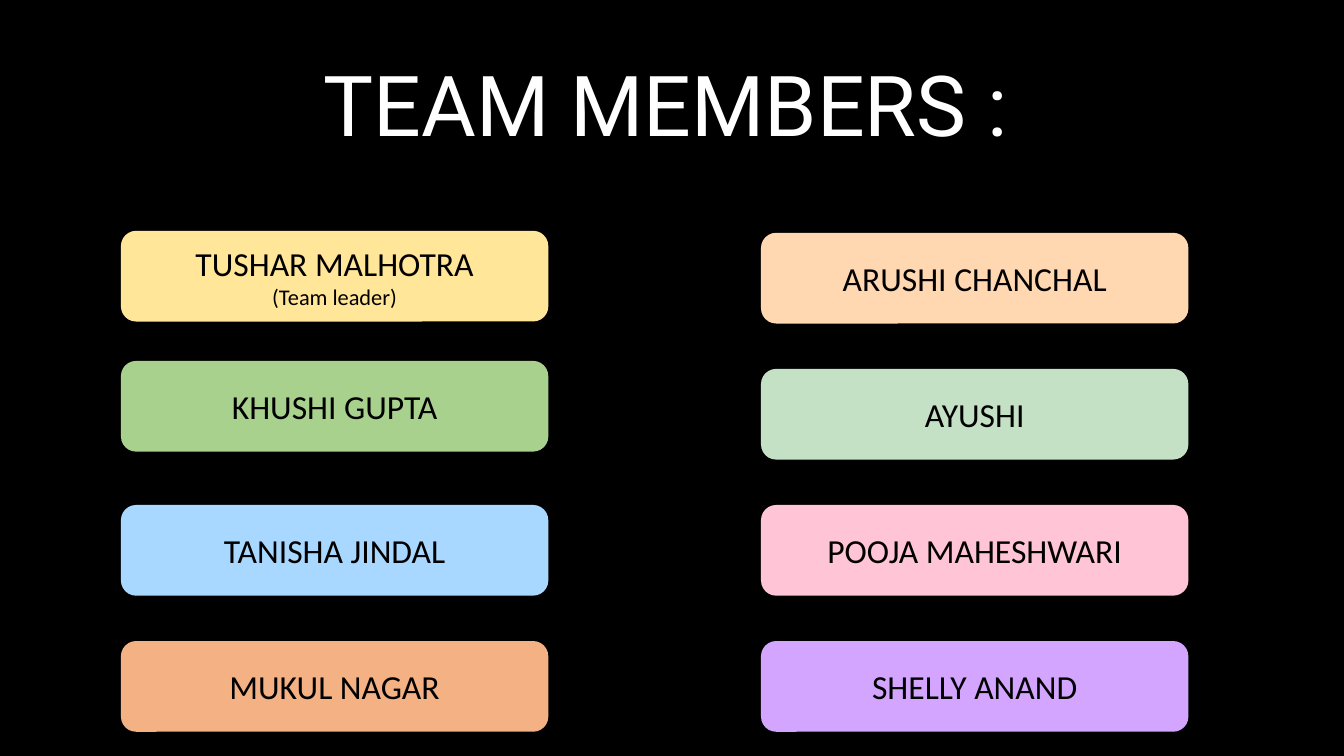
from pptx import Presentation
from pptx.dml.color import RGBColor
from pptx.enum.shapes import MSO_SHAPE
from pptx.enum.text import MSO_ANCHOR, MSO_AUTO_SIZE, PP_ALIGN
from pptx.util import Pt

COLORS = {
    "black": "000000",
    "white": "FFFFFF",
    "yellow": "FFE699",
    "green": "A9D18E",
    "blue": "A8D8FF",
    "orange": "F4B183",
    "peach": "FFD8B1",
    "mint": "C5E1C5",
    "pink": "FFC4D6",
    "purple": "D4A5FF",
}
CARD_W, CARD_H = 305.3, 64.8
LEFT_X, RIGHT_X = 86.4, 543.6
RIGHT_TOP, ROW_STEP = 166.3, 97.2

left_members = [
    (164.9, "yellow", ["TUSHAR MALHOTRA", "(Team leader)"]),
    (257.8, "green", ["KHUSHI GUPTA"]),
    (360.7, "blue", ["TANISHA JINDAL"]),
    (457.9, "orange", ["MUKUL NAGAR"]),
]
right_members = [
    ("peach", "ARUSHI CHANCHAL"),
    ("mint", "AYUSHI"),
    ("pink", "POOJA MAHESHWARI"),
    ("purple", "SHELLY ANAND"),
]
cards = [(LEFT_X, top, color, lines) for top, color, lines in left_members]
cards += [
    (RIGHT_X, RIGHT_TOP + row * ROW_STEP, color, [name])
    for row, (color, name) in enumerate(right_members)
]


def rgb(name):
    return RGBColor.from_string(COLORS[name])


def set_font(p, name, size, color):
    p.font.name = name
    p.font.size = Pt(size)
    p.font.color.rgb = rgb(color)


prs = Presentation()
prs.slide_width, prs.slide_height = Pt(960), Pt(540)
s = prs.slides.add_slide(prs.slide_layouts[5])
s.background.fill.solid()
s.background.fill.fore_color.rgb = rgb("black")

title = s.shapes.title
title.left, title.top, title.width, title.height = Pt(223.9), Pt(25.9), Pt(828), Pt(104.4)
tf = title.text_frame
tf.text = "TEAM MEMBERS :"
tf.auto_size = MSO_AUTO_SIZE.NONE
tf.vertical_anchor = MSO_ANCHOR.MIDDLE
p = tf.paragraphs[0]
p.alignment = PP_ALIGN.LEFT
p.line_spacing = 0.9
set_font(p, "Roboto", 60, "white")

for x, y, color, lines in cards:
    sp = s.shapes.add_shape(
        MSO_SHAPE.ROUNDED_RECTANGLE, Pt(x), Pt(y), Pt(CARD_W), Pt(CARD_H)
    )
    sp.shadow.inherit = False
    sp.fill.solid()
    sp.fill.fore_color.rgb = rgb(color)
    sp.line.fill.background()
    tf = sp.text_frame
    tf.text = "\n".join(lines)
    tf.word_wrap = True
    tf.vertical_anchor = MSO_ANCHOR.MIDDLE
    for p, size in zip(tf.paragraphs, (24, 16)):
        p.alignment = PP_ALIGN.CENTER
        set_font(p, "Calibri", size, "black")

prs.save("out.pptx")
